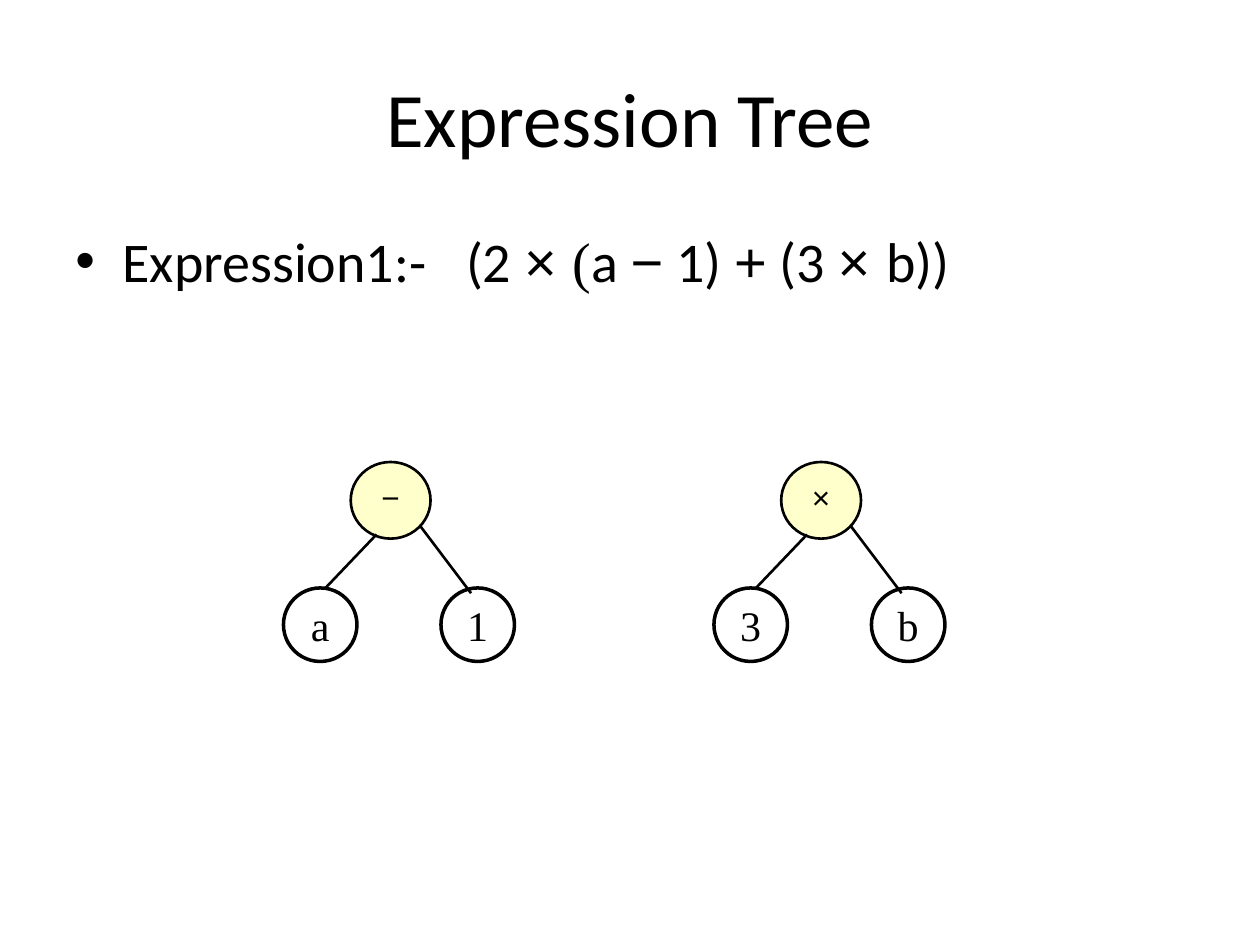
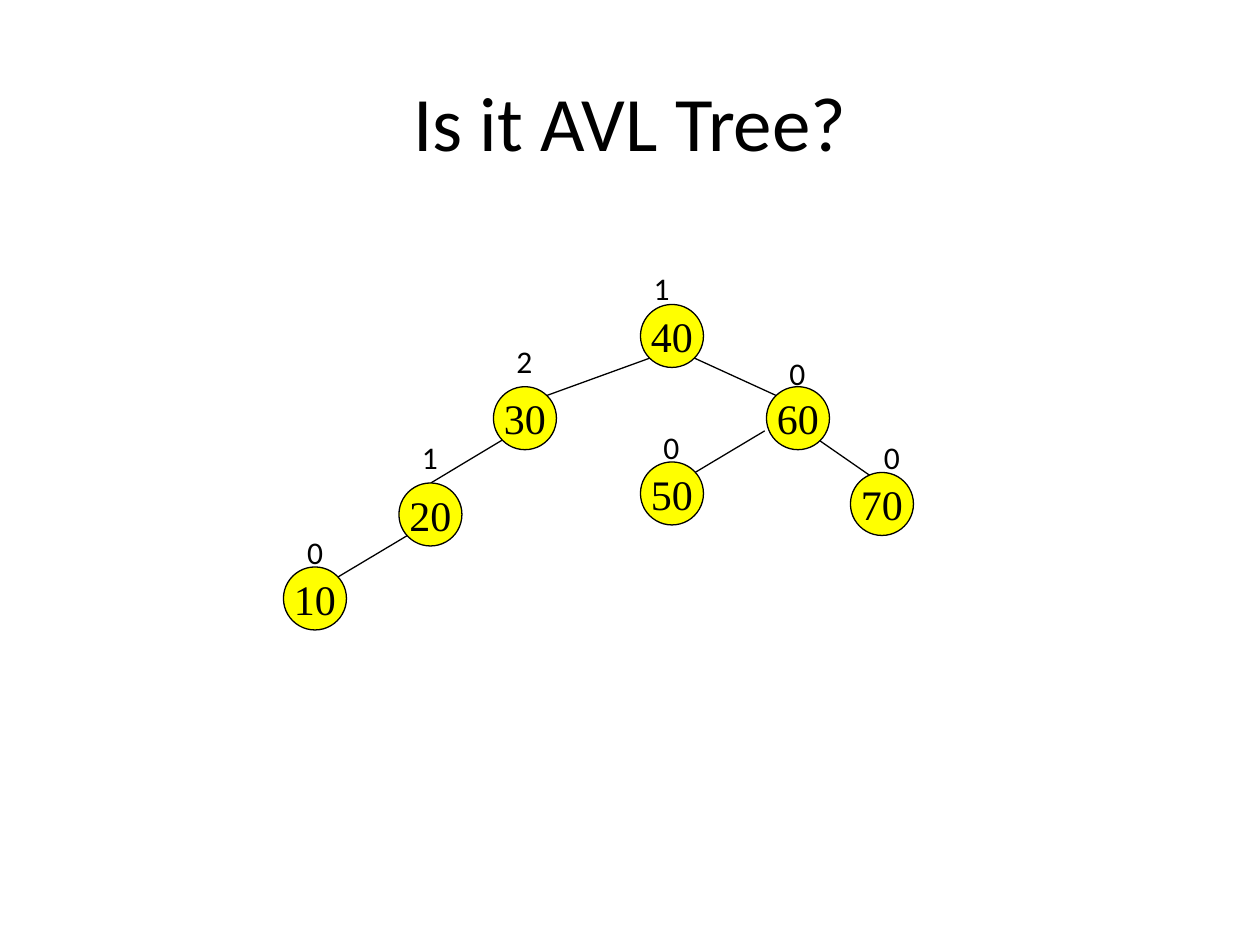
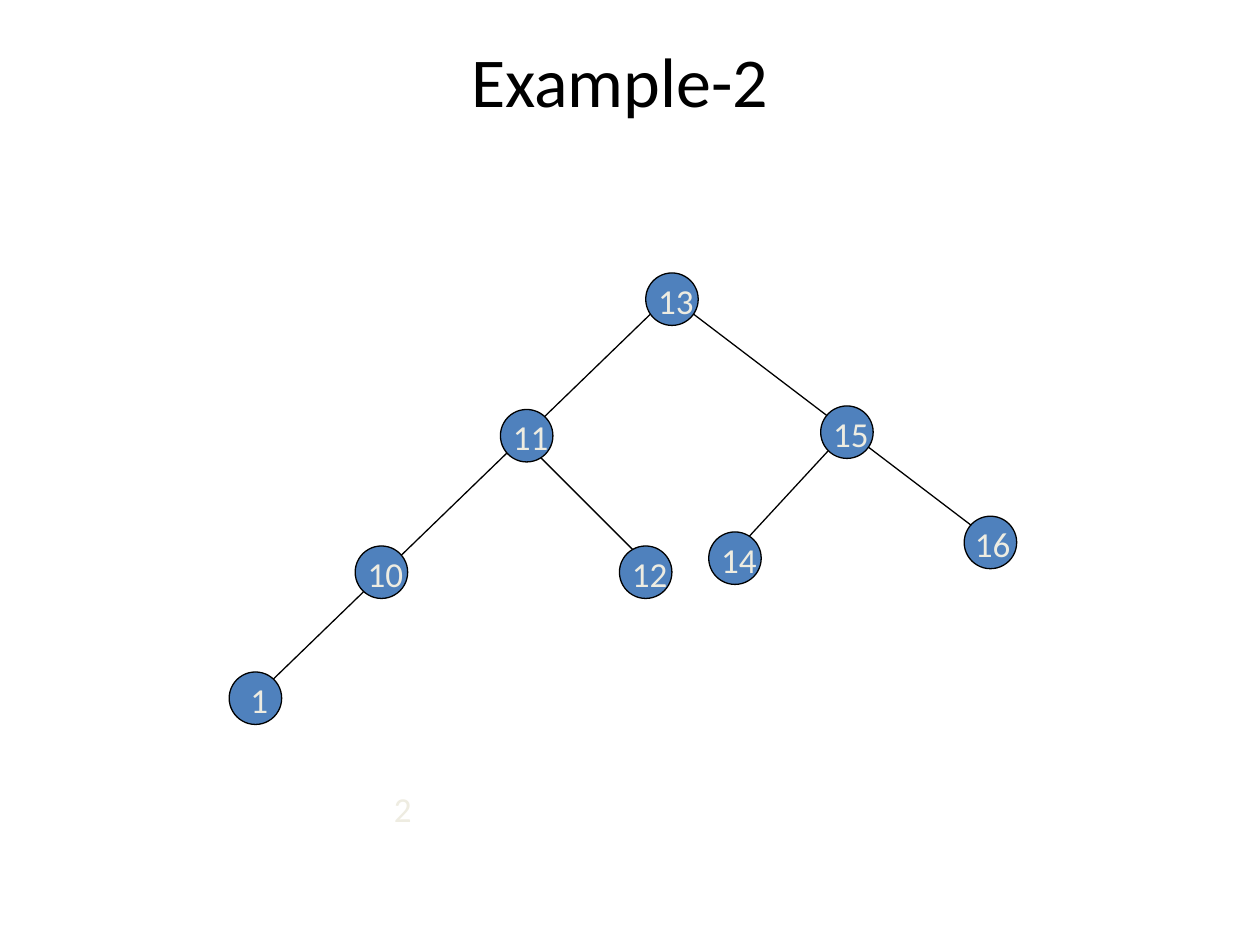
from lxml.etree import SubElement
from pptx import Presentation
from pptx.dml.color import RGBColor
from pptx.enum.shapes import MSO_CONNECTOR, MSO_SHAPE
from pptx.enum.text import MSO_ANCHOR, PP_ALIGN
from pptx.oxml.ns import qn
from pptx.util import Pt

BLACK = "000000"
OPERATOR_FILL = "FFFFCC"
AVL_FILL = "FFFF00"
EXAMPLE_FILL = "4F81BD"
EXAMPLE_TEXT = "EEECE1"
BODY_FONT = "Calibri"
NODE_FONT = "Times New Roman"
SYMBOL_FONT = "Arial"


def add_item(slide, box, text="", size=18, font=BODY_FONT, color=BLACK,
             alignment=PP_ALIGN.CENTER, anchor=MSO_ANCHOR.MIDDLE, wrap=True,
             outline=None, fill=None):
    """Add a text box, or a circle if an outline width is given."""
    left, top, width, height = map(Pt, box)
    if outline:
        shape = slide.shapes.add_shape(MSO_SHAPE.OVAL, left, top, width, height)
        shape.shadow.inherit = False
        shape.line.color.rgb = RGBColor.from_string(BLACK)
        shape.line.width = Pt(outline)
        if fill:
            shape.fill.solid()
            shape.fill.fore_color.rgb = RGBColor.from_string(fill)
        else:
            shape.fill.background()
    else:
        shape = slide.shapes.add_textbox(left, top, width, height)
    text_frame = shape.text_frame
    text_frame.word_wrap = wrap
    text_frame.vertical_anchor = anchor
    text_frame.text = text
    paragraph = text_frame.paragraphs[0]
    paragraph.alignment = alignment
    for run in paragraph.runs:
        run.font.size = Pt(size)
        run.font.name = font
        run.font.color.rgb = RGBColor.from_string(color)
    return shape


def add_edge(slide, start_x, start_y, end_x, end_y, width=0.75):
    edge = slide.shapes.add_connector(
        MSO_CONNECTOR.STRAIGHT, Pt(start_x), Pt(start_y), Pt(end_x), Pt(end_y))
    edge.line.color.rgb = RGBColor.from_string(BLACK)
    edge.line.width = Pt(width)
    SubElement(edge._element.spPr, qn("a:effectLst"))


presentation = Presentation()
presentation.slide_width = Pt(720)
presentation.slide_height = Pt(540)
blank_layout = presentation.slide_layouts[6]

# Slide 1: expression tree
slide = presentation.slides.add_slide(blank_layout)
add_item(slide, (36, 21.6, 648, 90), "Expression Tree", 44)

body = add_item(slide, (36, 126, 648, 356.4), alignment=PP_ALIGN.LEFT,
                anchor=MSO_ANCHOR.TOP)
paragraph = body.text_frame.paragraphs[0]
properties = paragraph._p.get_or_add_pPr()
properties.set("marL", str(Pt(27)))
properties.set("indent", str(Pt(-27)))
SubElement(properties, qn("a:buFont"), typeface=SYMBOL_FONT)
SubElement(properties, qn("a:buChar"), char="•")
expression = [
    ("Expression1:-\t (2 ", BODY_FONT), ("× ", SYMBOL_FONT), ("(", NODE_FONT),
    ("a ", BODY_FONT), ("−", SYMBOL_FONT), (" 1) ", BODY_FONT),
    ("+", SYMBOL_FONT), (" (3 ", BODY_FONT), ("× ", SYMBOL_FONT),
    ("b))", BODY_FONT),
]
for text, font in expression:
    run = paragraph.add_run()
    run.text = text
    run.font.size = Pt(32)
    run.font.name = font
    run.font.color.rgb = RGBColor.from_string(BLACK)

for tree_left, operator, operands in [(162, "−", "a1"), (408, "×", "3b")]:
    operator_node = add_item(
        slide, (tree_left + 38.4, 264, 45.6, 43.8), operator, 18, SYMBOL_FONT,
        wrap=False, outline=1.5, fill=OPERATOR_FILL)
    text_frame = operator_node.text_frame
    text_frame.margin_left = text_frame.margin_right = text_frame.margin_top = 0
    text_frame.margin_bottom = Pt(3.6)
    add_edge(slide, tree_left + 24, 336, tree_left + 53.2, 305.4, 1.5)
    add_edge(slide, tree_left + 107.2, 339, tree_left + 78, 300.4, 1.5)
    for index, operand in enumerate(operands):
        add_item(slide, (tree_left + 90 * index, 336, 42, 42), operand, 24,
                 NODE_FONT, outline=2)

# Slide 2: AVL question, each node with its balance factor
slide = presentation.slides.add_slide(blank_layout)
add_item(slide, (36, 24, 648, 90), "Is it AVL Tree?", 44)

avl_edges = [
    (371.5, 204.6, 312.5, 226), (396.7, 204.6, 443.5, 226),
    (287.3, 251.3, 246.2, 276), (468.7, 252, 504, 276.5),
    (437, 246.2, 396, 270.7), (234, 305.3, 193, 329.8),
]
for edge in avl_edges:
    add_edge(slide, *edge)

# key, node left and top, balance, balance left and top
avl_nodes = [
    ("40", 366, 174, "1", 366.5, 150),
    ("30", 282, 221, "2", 288, 192),
    ("60", 438, 221, "0", 444, 199),
    ("20", 228, 276, "1", 234, 247),
    ("50", 366, 264, "0", 372, 241),
    ("70", 486, 270, "0", 498, 247),
    ("10", 162, 324, "0", 168.5, 301),
]
for key, left, top, balance, balance_left, balance_top in avl_nodes:
    add_item(slide, (left, top, 36, 36), key, 24, NODE_FONT, wrap=False,
             outline=0.75, fill=AVL_FILL)
    add_item(slide, (balance_left, balance_top, 23.8, 29), balance, 18,
             alignment=PP_ALIGN.LEFT, anchor=MSO_ANCHOR.TOP, wrap=False)

# Slide 3: second example
slide = presentation.slides.add_slide(blank_layout)
example_edges = [
    (301.7, 254.2, 373.7, 326.2), (483.8, 246.2, 424, 311),
    (135.4, 408.2, 383.8, 167.8), (380.9, 167.8, 555, 300.2),
]
for edge in example_edges:
    add_edge(slide, *edge)

# key, node left and top, key left
example_nodes = [
    ("13", 369, 156, 369), ("15", 469, 232, 469), ("16", 551, 295, 550),
    ("11", 286, 234, 286), ("14", 405, 304, 405), ("10", 203, 312, 203),
    ("1", 131, 384, 136), ("12", 354, 312, 354),
]
key_labels = [("2", 218, 446.5)]
for key, left, top, key_left in example_nodes:
    add_item(slide, (left, top, 30, 30), outline=0.75, fill=EXAMPLE_FILL)
    key_labels.append((key, key_left, top))
for key, left, top in key_labels:
    add_item(slide, (left, top, 36, 31.5), key, 20, color=EXAMPLE_TEXT,
             alignment=PP_ALIGN.LEFT, anchor=MSO_ANCHOR.TOP)
add_item(slide, (108, 18, 492, 55.5), "Example-2", 40, anchor=MSO_ANCHOR.TOP)

presentation.save("out.pptx")
